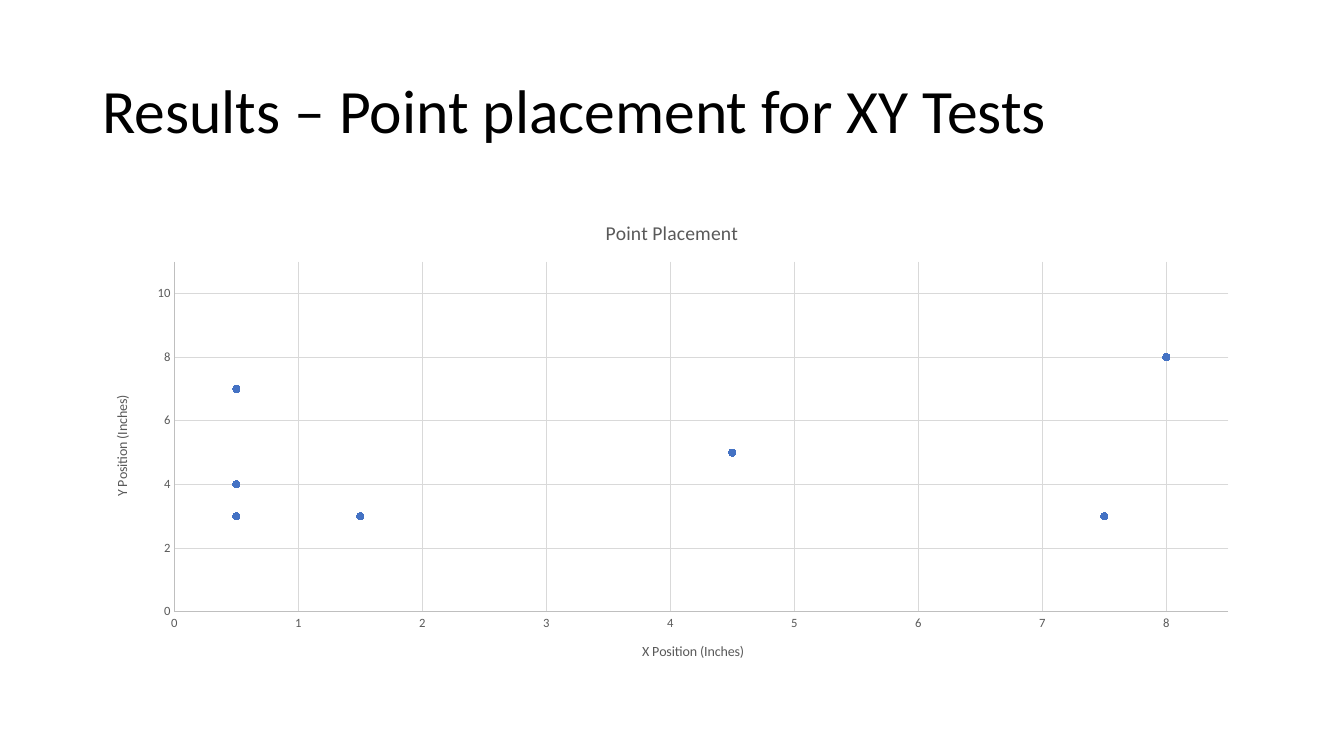
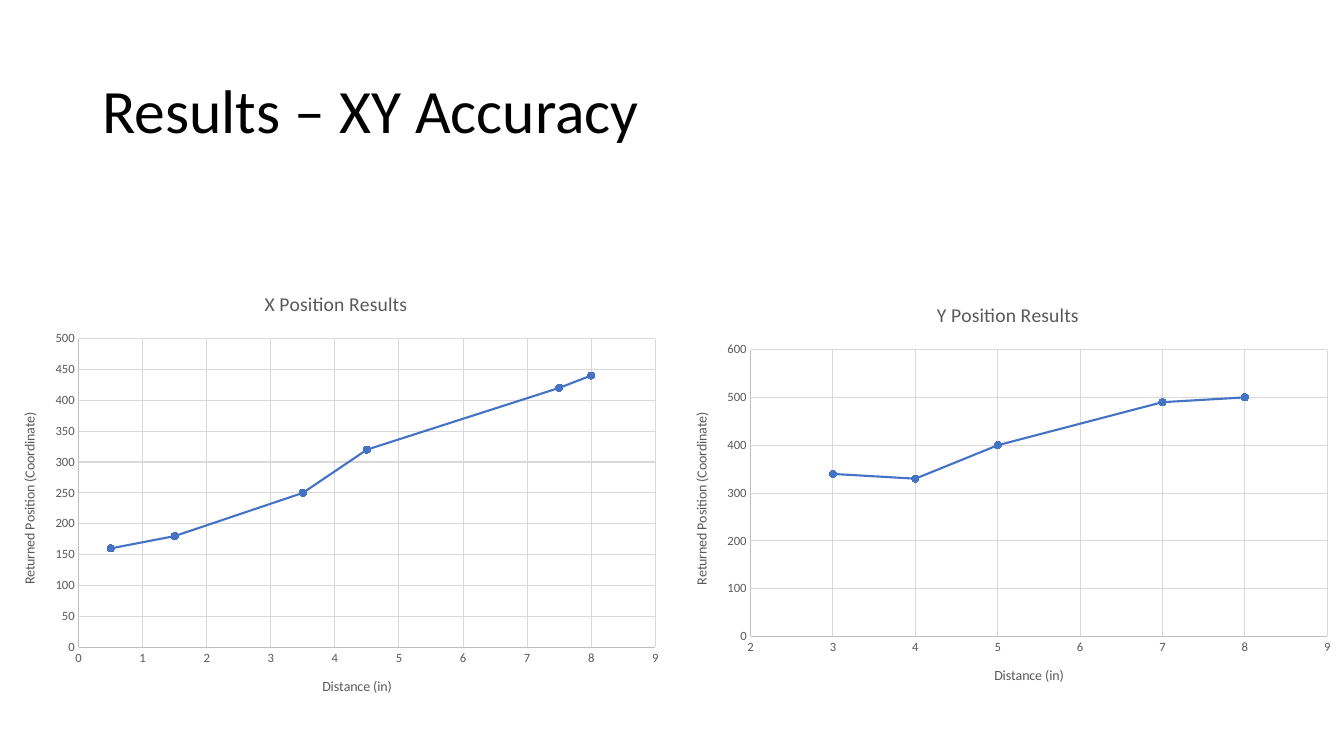
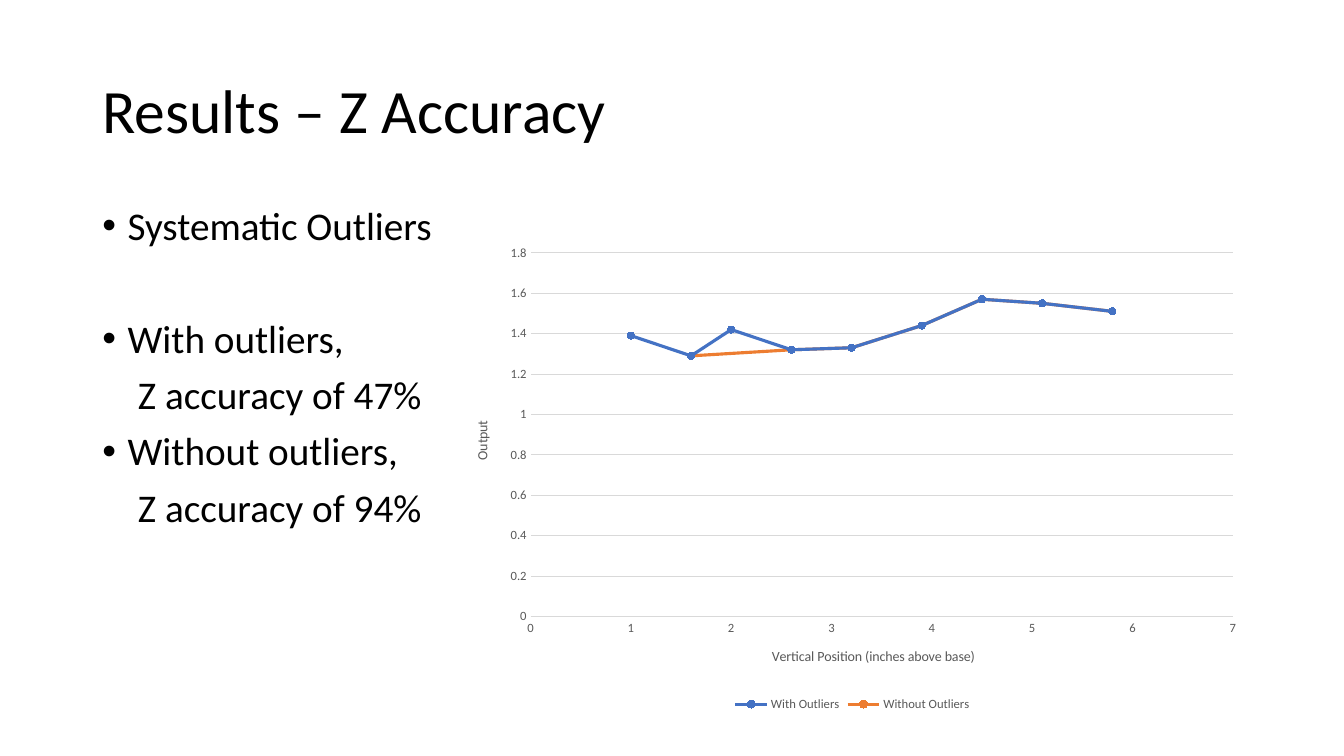
from pptx import Presentation
from pptx.chart.data import XyChartData
from pptx.dml.color import RGBColor
from pptx.enum.chart import XL_CHART_TYPE, XL_LEGEND_POSITION, XL_MARKER_STYLE, XL_TICK_MARK
from pptx.enum.text import MSO_ANCHOR, MSO_AUTO_SIZE, PP_ALIGN
from pptx.oxml.ns import qn
from pptx.util import Pt
from lxml import etree

POINTS, LINES = XL_CHART_TYPE.XY_SCATTER, XL_CHART_TYPE.XY_SCATTER_LINES
BOTTOM = XL_LEGEND_POSITION.BOTTOM
CIRCLE = XL_MARKER_STYLE.CIRCLE
NO_TICK = XL_TICK_MARK.NONE
MIDDLE, LEFT, NO_FIT = MSO_ANCHOR.MIDDLE, PP_ALIGN.LEFT, MSO_AUTO_SIZE.NONE

FONT = "Calibri"
BLACK, GRAY, AXIS, GRID = "000000", "595959", "BFBFBF", "D9D9D9"
SERIES_COLORS = ["4472C4", "ED7D31"]
TITLE_ONLY, TITLE_AND_BODY = 5, 1
TITLE_BOX = (66, 28.75, 828, 104.38)
BODY_BOX = (66, 143.75, 828, 342.62)

Z_POINTS = [(1, 1.39), (1.6, 1.29), (2, 1.42), (2.6, 1.32), (3.2, 1.33),
            (3.9, 1.44), (4.5, 1.57), (5.1, 1.55), (5.8, 1.51)]
Z_OUTLIERS = (1, 2)

SLIDES = [
    dict(title="Results – Point placement for XY Tests", charts=[
        dict(box=BODY_BOX, title="Point Placement",
             x=dict(title="X Position (Inches)", scale=(0, 8.5, 1), line=AXIS, grid=GRID),
             y=dict(title="Y Position (Inches)", scale=(0, 11, 2), line=AXIS, grid=GRID),
             series={"Series 1": [(0.5, 3), (0.5, 4), (0.5, 7), (1.5, 3),
                                  (7.5, 3), (4.5, 5), (8, 8)]}),
    ]),
    dict(title="Results – XY Accuracy", charts=[
        dict(box=(0, 194.4, 480, 316.8), title="X Position Results", line_width=1.5,
             x=dict(title="Distance (in)", scale=(0, 9, 1), line=AXIS, grid=GRID),
             y=dict(title="Returned Position (Coordinate)", scale=(0, 500, 50),
                    line=AXIS, grid=GRID),
             series={"Series 1": [(0.5, 160), (1.5, 180), (3.5, 250), (4.5, 320),
                                  (7.5, 420), (8, 440)]}),
        dict(box=(480, 203, 480, 300.2), title="Y Position Results", line_width=1.5,
             x=dict(title="Distance (in)", scale=(2, 9, 1), line=AXIS, grid=GRID),
             y=dict(title="Returned Position (Coordinate)", scale=(0, 600, 100),
                    line=AXIS, grid=GRID),
             series={"Series 1": [(3, 340), (4, 330), (5, 400), (7, 490), (8, 500)]}),
    ]),
    dict(title="Results – Z Accuracy",
         body=[("Systematic Outliers", True, 0), ("With outliers,", True, 50.5),
               ("Z accuracy of 47%", False, 10), ("Without outliers,", True, 10),
               ("Z accuracy of 94%", False, 10)],
         charts=[
        dict(box=(323.3, 168.5, 571, 342.7), line_width=2.25, legend=True,
             x=dict(title="Vertical Position (inches above base)", scale=(0, 7, 1), line=GRID),
             y=dict(title="Output", scale=(0, 1.8, 0.2), grid=GRID),
             series={"With Outliers": Z_POINTS,
                     "Without Outliers": [p for p in Z_POINTS if p[0] not in Z_OUTLIERS]}),
    ]),
]


def rgb(value):
    return RGBColor.from_string(value)


def set_font(font, size, color=GRAY):
    font.name, font.size, font.bold = FONT, Pt(size), False
    font.color.rgb = rgb(color)


def set_line(line, color, width=0.75):
    if color:
        line.color.rgb = rgb(color)
        line.width = Pt(width)
    else:
        line.fill.background()


def place(sp, box):
    sp.left, sp.top, sp.width, sp.height = map(Pt, box)


def write(p, text, size, before=0):
    p.alignment, p.line_spacing, p.space_before = LEFT, 0.9, Pt(before)
    r = p.add_run()
    r.text = text
    set_font(r.font, size, BLACK)


def set_indent(p, bulleted):
    pPr = p._p.get_or_add_pPr()
    left, first = (18, -18) if bulleted else (25.3, 0)
    pPr.set("marL", str(Pt(left)))
    pPr.set("indent", str(Pt(first)))
    if bulleted:
        etree.SubElement(pPr, qn("a:buFont")).set("typeface", "Arial")
        etree.SubElement(pPr, qn("a:buChar")).set("char", "•")
    else:
        etree.SubElement(pPr, qn("a:buNone"))


def add_title(s, text):
    sp = s.shapes.title
    place(sp, TITLE_BOX)
    tf = sp.text_frame
    tf.vertical_anchor, tf.auto_size, tf.word_wrap = MIDDLE, NO_FIT, True
    write(tf.paragraphs[0], text, 44)


def add_body(s, items):
    sp = s.placeholders[1]
    place(sp, BODY_BOX)
    tf = sp.text_frame
    tf.auto_size, tf.word_wrap = NO_FIT, True
    for i, (text, bulleted, before) in enumerate(items):
        p = tf.add_paragraph() if i else tf.paragraphs[0]
        set_indent(p, bulleted)
        write(p, text, 28, before)


def set_chart_title(owner, text, size):
    tf = owner.text_frame
    tf.text = text
    set_font(tf.paragraphs[0].runs[0].font, size)


def format_axis(axis, title, scale, line=None, grid=None):
    axis.minimum_scale, axis.maximum_scale, axis.major_unit = scale
    axis.major_tick_mark = axis.minor_tick_mark = NO_TICK
    set_font(axis.tick_labels.font, 9)
    set_line(axis.format.line, line)
    axis.has_major_gridlines = bool(grid)
    if grid:
        set_line(axis.major_gridlines.format.line, grid)
    set_chart_title(axis.axis_title, title, 10)


def add_scatter(s, box, x, y, series, title=None, line_width=None, legend=False):
    data = XyChartData()
    for name, points in series.items():
        entry = data.add_series(name)
        for point in points:
            entry.add_data_point(*point)
    kind = LINES if line_width else POINTS
    chart = s.shapes.add_chart(kind, *map(Pt, box), data).chart
    set_font(chart.font, 10, BLACK)
    chart.has_title = bool(title)
    if title:
        set_chart_title(chart.chart_title, title, 14)
    chart.has_legend = legend
    if legend:
        chart.legend.position = BOTTOM
        chart.legend.include_in_layout = False
        set_font(chart.legend.font, 9)
    format_axis(chart.category_axis, **x)
    format_axis(chart.value_axis, **y)
    plot = chart.plots[0]
    plot.vary_by_categories = False
    for ser, color in zip(plot.series, SERIES_COLORS):
        set_line(ser.format.line, color if line_width else None, line_width)
        marker = ser.marker
        marker.style, marker.size = CIRCLE, 5
        marker.format.fill.solid()
        marker.format.fill.fore_color.rgb = rgb(color)
        set_line(marker.format.line, color)


def main():
    prs = Presentation()
    prs.slide_width, prs.slide_height = Pt(960), Pt(540)
    for content in SLIDES:
        body = content.get("body")
        layout = TITLE_AND_BODY if body else TITLE_ONLY
        s = prs.slides.add_slide(prs.slide_layouts[layout])
        add_title(s, content["title"])
        if body:
            add_body(s, body)
        for chart in content["charts"]:
            add_scatter(s, **chart)
    prs.save("out.pptx")


if __name__ == "__main__":
    main()
